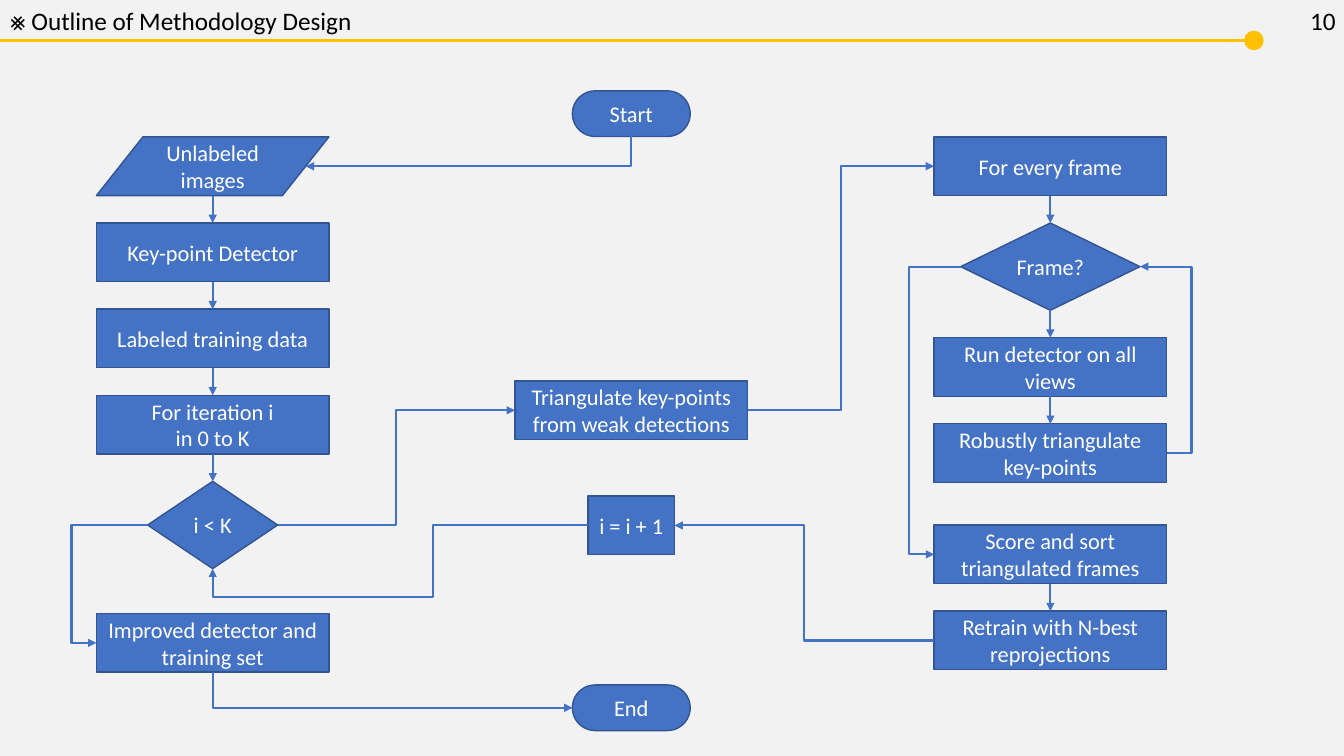
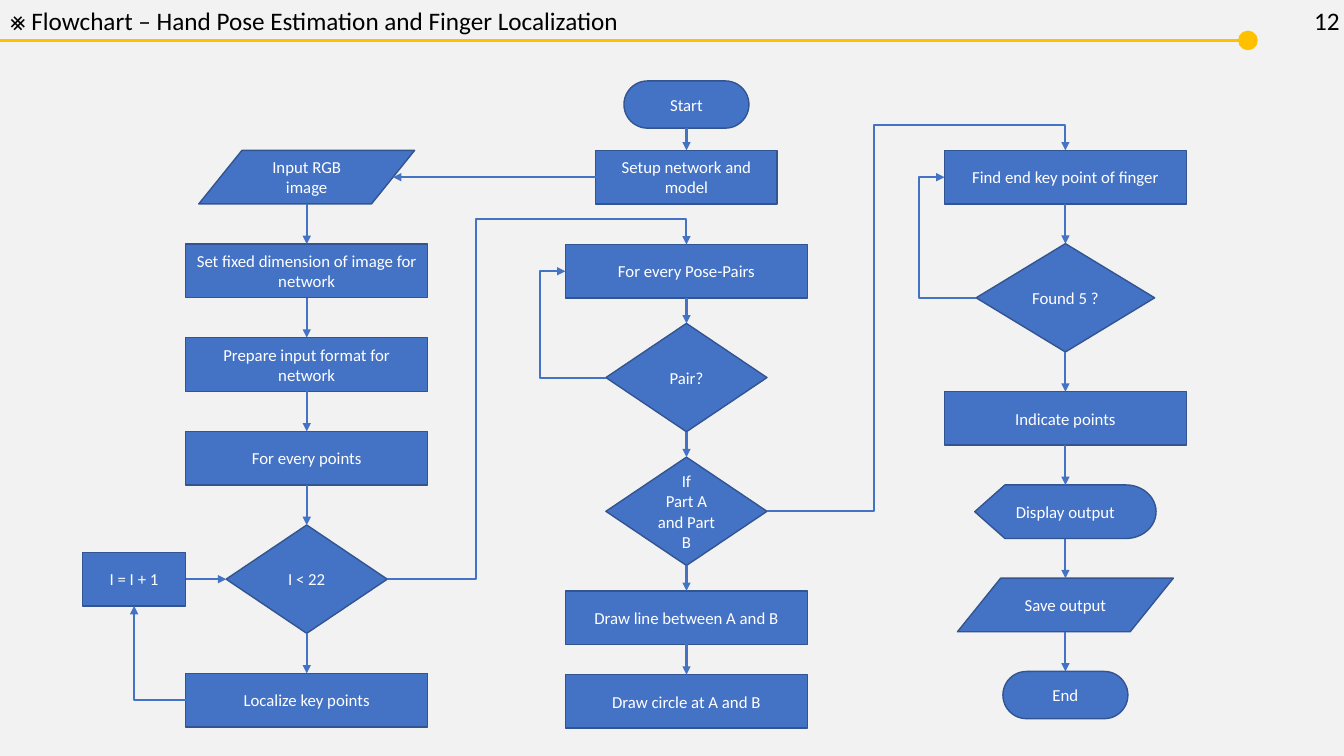
from dataclasses import dataclass

from lxml import etree
from pptx import Presentation
from pptx import util as u
from pptx.dml import color
from pptx.enum import shapes, text
from pptx.oxml import ns

Cm = u.Cm
Kind = shapes.MSO_SHAPE
Wire = shapes.MSO_CONNECTOR
Align = text.PP_ALIGN
Anchor = text.MSO_ANCHOR

FORMS = {
    "box": Kind.RECTANGLE,
    "term": Kind.ROUNDED_RECTANGLE,
    "data": Kind.FLOWCHART_DATA,
    "test": Kind.FLOWCHART_DECISION,
    "show": Kind.FLOWCHART_DISPLAY,
}
SIDES = {"t": (0.5, 0), "l": (0, 0.5), "b": (0.5, 1), "r": (1, 0.5)}
SLANT = {"t": (0.5, 0), "l": (0.1, 0.5), "b": (0.5, 1), "r": (0.9, 0.5)}
SITES = {"t": 0, "l": 1, "b": 2, "r": 3}
SLANT_SITES = {"t": 1, "l": 2, "b": 4, "r": 5}
TURNS = {"r": 0, "b": 90, "l": 180, "t": 270}
STRAIGHT = ("tb", "bt", "lr", "rl")


@dataclass(frozen=True)
class Theme:
    font: str = "Calibri"
    back: str = "F2F2F2"
    ink: str = "000000"
    light: str = "FFFFFF"
    gold: str = "FFC000"
    blue: str = "4472C4"
    edge: str = "325491"
    head: int = 18
    thin: float = 1
    thick: float = 1.5


def rgb(code):
    return color.RGBColor.from_string(code)


def write(frame, words, *, font, size, ink, align=Align.LEFT, anchor=Anchor.TOP):
    frame.text = words
    frame.word_wrap = True
    frame.auto_size = text.MSO_AUTO_SIZE.NONE
    frame.vertical_anchor = anchor
    for para in frame.paragraphs:
        para.alignment = align
        for run in para.runs:
            run.font.name = font
            run.font.size = u.Pt(size)
            run.font.color.rgb = rgb(ink)


def local(point, turn):
    x, y = point
    return {0: (x, y), 90: (y, -x), 180: (-x, -y), 270: (-y, x)}[turn]


def spot(node, side):
    slant = node.auto_shape_type == Kind.FLOWCHART_DATA
    fx, fy = (SLANT if slant else SIDES)[side]
    return round(node.left + node.width * fx), round(node.top + node.height * fy)


def glue(wire, tag, node, side):
    slant = node.auto_shape_type == Kind.FLOWCHART_DATA
    site = (SLANT_SITES if slant else SITES)[side]
    owner = wire.element.nvCxnSpPr.cNvCxnSpPr
    etree.SubElement(owner, ns.qn(tag), id=str(node.shape_id), idx=str(site))


class Chart:
    def __init__(self, deck, theme):
        self.deck, self.theme = deck, theme

    def page(self, title, number, end, left, size, sizes):
        look = self.theme
        self.size, self.sizes = size, sizes
        self.slide = self.deck.slides.add_slide(self.deck.slide_layouts[5])
        self.items = self.slide.shapes
        head = self.items.title
        head.left, head.top, head.width, head.height = Cm(0), Cm(0), Cm(end), Cm(1.03)
        style = dict(font=look.font, size=look.head, ink=look.ink)
        write(head.text_frame, title, **style)
        self.wire(Wire.STRAIGHT, (0, Cm(1.02)), (Cm(end), Cm(1.02)), look.gold)
        self.form(Kind.OVAL, end - 0.23, 0.79, 0.46, 0.46, look.gold, look.gold)
        page = self.items.add_textbox(Cm(left), Cm(0), Cm(1.3), Cm(1.03))
        write(page.text_frame, number, **style)

    def form(self, kind, x, y, w, h, fill, edge):
        item = self.items.add_shape(kind, Cm(x), Cm(y), Cm(w), Cm(h))
        item.shadow.inherit = False
        item.fill.solid()
        item.fill.fore_color.rgb = rgb(fill)
        item.line.color.rgb = rgb(edge)
        item.line.width = u.Pt(self.theme.thin)
        return item

    def node(self, kind, words, mid, top, wide=None):
        look = self.theme
        w, h = self.sizes[kind]
        w = wide or w
        item = self.form(FORMS[kind], mid - w / 2, top, w, h, look.blue, look.edge)
        if kind == "term":
            item.adjustments[0] = 0.5
        write(item.text_frame, words, font=look.font, size=self.size, ink=look.light,
              align=Align.CENTER, anchor=Anchor.MIDDLE)
        return item

    def stack(self, mid, top, gap, *rows):
        nodes = []
        for row in rows:
            kind, words, *wide = row
            nodes.append(self.node(kind, words, mid, top, *wide))
            top += self.sizes[kind][1] + gap
        for above, below in zip(nodes, nodes[1:]):
            self.link(above, "b", below, "t")
        return nodes

    def wire(self, kind, start, stop, ink):
        wire = self.items.add_connector(kind, *start, *stop)
        wire.line.color.rgb = rgb(ink)
        wire.line.width = u.Pt(self.theme.thick)
        etree.SubElement(wire.element.spPr, ns.qn("a:effectLst"))
        return wire

    def link(self, a, out, b, into, *via):
        start, stop = spot(a, out), spot(b, into)
        if not via and out + into in STRAIGHT:
            wire = self.wire(Wire.STRAIGHT, start, stop, self.theme.blue)
        else:
            wire = self.bend(start, stop, TURNS[out], via)
        tip = wire.line._get_or_add_ln()
        etree.SubElement(tip, ns.qn("a:tailEnd"), type="triangle")
        glue(wire, "a:stCxn", a, out)
        glue(wire, "a:endCxn", b, into)

    def bend(self, start, stop, turn, via):
        (x, y), (ex, ey) = start, stop
        dx, dy = local((ex - x, ey - y), turn)
        w, h = abs(dx), abs(dy)
        left, top = (x + ex - w) // 2, (y + ey - h) // 2
        wire = self.wire(Wire.ELBOW, (left, top), (left + w, top + h), self.theme.blue)
        frame = wire.element.spPr.find(ns.qn("a:xfrm"))
        frame.set("rot", str(turn * 60000))
        frame.set("flipH", str(int(dx < 0)))
        frame.set("flipV", str(int(dy < 0)))
        shape = wire.element.spPr.find(ns.qn("a:prstGeom"))
        shape.set("prst", f"bentConnector{len(via) + 2}")
        marks = shape.find(ns.qn("a:avLst"))
        if marks is None:
            marks = etree.SubElement(shape, ns.qn("a:avLst"))
        turns = [Cm(v) - base for v, base in zip(via, start)]
        shift = local((turns + [0, 0])[:2], turn)
        for i, (step, span) in enumerate(zip(shift[:len(via)], (dx, dy)), 1):
            ratio = round(step / span * 100000)
            etree.SubElement(marks, ns.qn("a:gd"), name=f"adj{i}", fmla=f"val {ratio}")
        return wire


def outline(flow):
    flow.page("⨳ Outline of Methodology Design", "10", 31.6, 32.77, 16,
              {"box": (5.86, 1.48), "data": (5.86, 1.48),
               "term": (2.97, 1.15), "test": (3.28, 2.2)})
    west, mid, east, gap = 5.36, 15.91, 26.47, 0.69
    start = flow.node("term", "Start", mid, 2.29)
    data, *_, test = flow.stack(
        west, 3.45, gap,
        ("data", "Unlabeled images"),
        ("box", "Key-point Detector"),
        ("box", "Labeled training data"),
        ("box", "For iteration i\nin 0 to K"),
        ("test", "i < K"))
    done = flow.node("box", "Improved detector and training set", west, 15.46)
    weak = flow.node("box", "Triangulate key-points from weak detections", mid, 9.6)
    step = flow.node("box", "i = i + 1", mid, 12.5, 2.18)
    end = flow.node("term", "End", mid, 17.26)
    every, frame, _, robust = flow.stack(
        east, 3.45, gap,
        ("box", "For every frame"),
        ("test", "Frame?", 4.52),
        ("box", "Run detector on all views"),
        ("box", "Robustly triangulate key-points"))
    score, train = flow.stack(
        east, 13.23, gap,
        ("box", "Score and sort triangulated frames"),
        ("box", "Retrain with N-best reprojections"))
    flow.link(start, "b", data, "r")
    flow.link(test, "r", weak, "l", 9.99)
    flow.link(weak, "r", every, "l", 21.19)
    flow.link(frame, "l", score, "l", 22.9)
    flow.link(robust, "r", frame, "r", 30.03)
    flow.link(train, "l", step, "r", 20.26)
    flow.link(step, "l", test, "b", 10.91, 15.04)
    flow.link(test, "l", done, "l", 1.8)
    flow.link(done, "b", end, "l")


def hand(flow):
    flow.page("⨳ Flowchart – Hand Pose Estimation and Finger Localization",
              "12", 31.45, 32.87, 12,
              {"box": (6.1, 1.35), "data": (5.44, 1.35), "term": (3.15, 1.19),
               "test": (4.06, 2.73), "show": (4.57, 1.35)})
    west, mid, east, top = 7.73, 17.3, 26.85, 3.79
    _, setup = flow.stack(
        mid, 2.04, 0.56,
        ("term", "Start"),
        ("box", "Setup network and model", 4.57))
    data, *_, test, local_pts = flow.stack(
        west, top, 1.01,
        ("data", "Input RGB image"),
        ("box", "Set fixed dimension of image for network"),
        ("box", "Prepare input format for network"),
        ("box", "For every points"),
        ("test", "I < 22"),
        ("box", "Localize key points"))
    step = flow.node("box", "I = I + 1", 3.38, 13.92, 2.59)
    every, pair, part, line = flow.stack(
        mid, 6.16, 0.64,
        ("box", "For every Pose-Pairs"),
        ("test", "Pair?"),
        ("test", "If\nPart A and Part B"),
        ("box", "Draw line between A and B"))
    ring = flow.node("box", "Draw circle at A and B", mid, 17)
    find, found, *_ = flow.stack(
        east, top, 1,
        ("box", "Find end key point of finger"),
        ("test", "Found 5 ?", 4.5),
        ("box", "Indicate points"),
        ("show", "Display output"),
        ("data", "Save output"),
        ("term", "End"))
    flow.link(setup, "l", data, "r")
    flow.link(local_pts, "l", step, "b")
    flow.link(step, "r", test, "l")
    flow.link(test, "r", every, "t", 12.01, 5.53)
    flow.link(pair, "l", every, "l", 13.61)
    flow.link(line, "b", ring, "t")
    flow.link(part, "r", find, "t", 22.02, 3.15)
    flow.link(found, "l", find, "l", 23.17)


def main():
    theme = Theme()
    deck = Presentation()
    deck.slide_width, deck.slide_height = Cm(33.87), Cm(19.05)
    back = deck.slide_master.background.fill
    back.solid()
    back.fore_color.rgb = rgb(theme.back)
    flow = Chart(deck, theme)
    outline(flow)
    hand(flow)
    deck.save("out.pptx")


if __name__ == "__main__":
    main()
